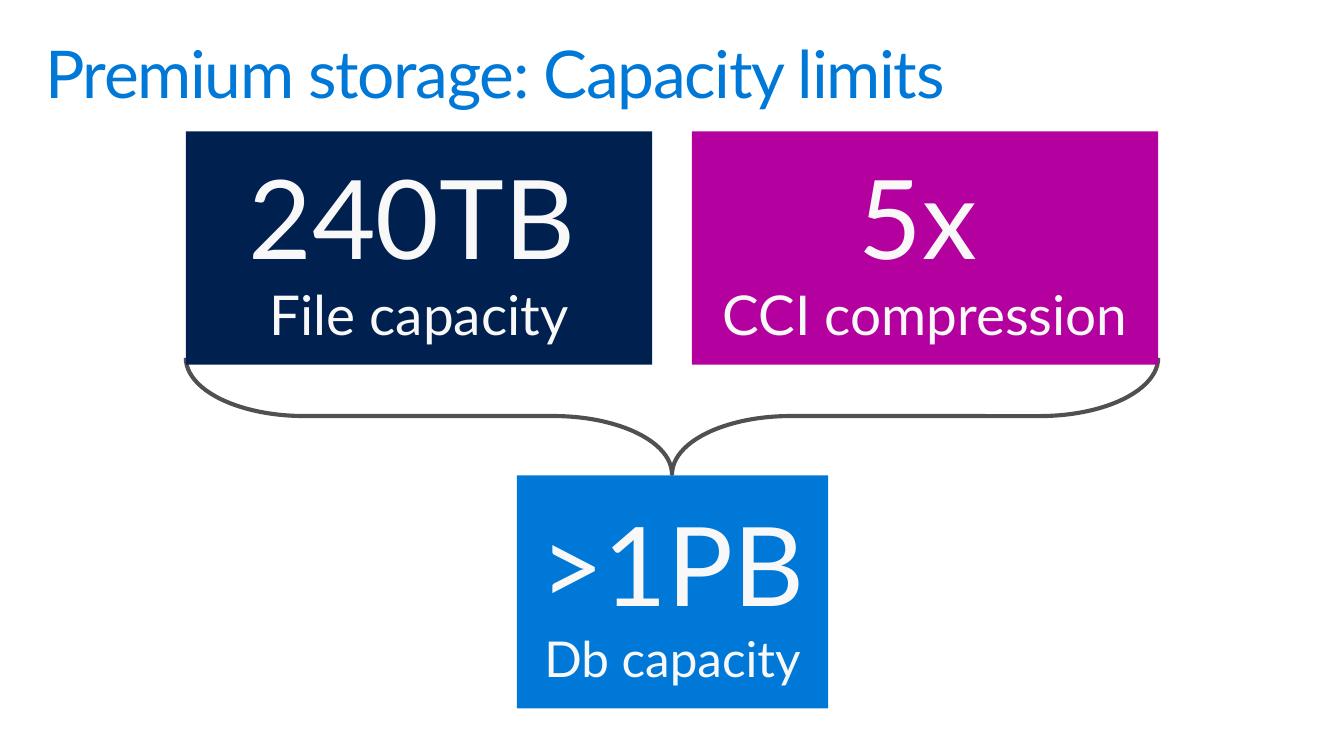
from pptx import Presentation
from pptx.dml.color import RGBColor
from pptx.enum.shapes import MSO_SHAPE as SHAPE
from pptx.enum.text import MSO_ANCHOR as ANCHOR, PP_ALIGN as ALIGN
from pptx.util import Pt

PX = 9144
THEME = {
    "font": "Lato",
    "blue": RGBColor(0x00, 0x78, 0xD7),
    "navy": RGBColor(0x00, 0x20, 0x50),
    "magenta": RGBColor(0xB4, 0x00, 0x9E),
    "light": RGBColor(0xF8, 0xF8, 0xF8),
    "gray": RGBColor(0x50, 0x50, 0x50),
    "title": 48,
    "figure": 80,
    "label": 40,
    "small_label": 36,
}


def px(*lengths):
    return [n * PX for n in lengths]


def style(r, size, color):
    r.font.name = THEME["font"]
    r.font.size = Pt(THEME[size])
    r.font.color.rgb = THEME[color]


prs = Presentation()
prs.slide_width, prs.slide_height = px(1360, 765)
s = prs.slides.add_slide(prs.slide_layouts[6])

title = s.shapes.add_textbox(*px(30, 32, 1300, 100))
tf = title.text_frame
tf.word_wrap = True
tf.margin_left, tf.margin_top, tf.margin_right, tf.margin_bottom = px(16, 10, 16, 10)
p = tf.paragraphs[0]
p.text = "Premium storage: Capacity limits"
p.line_spacing = 0.9
style(p.runs[0], "title", "blue")
p.runs[0].font._element.set("spc", "-100")

brace = s.shapes.add_shape(SHAPE.RIGHT_BRACE, *px(621, -71, 118, 984))
brace.rotation = 90
brace.adjustments[0] = 1.016
brace.adjustments[1] = 0.5
brace.shadow.inherit = False
brace.fill.background()
brace.line.color.rgb = THEME["gray"]
brace.line.width = Pt(3)

cards = [
    (188, 133, 472, "navy", ["240TB", " "], "File capacity", "label"),
    (700, 133, 472, "magenta", ["5x", " "], "CCI compression", "label"),
    (523, 481, 315, "blue", [">1PB"], "Db capacity", "small_label"),
]
for left, top, width, fill, figure, label, label_size in cards:
    card = s.shapes.add_shape(SHAPE.RECTANGLE, *px(left, top, width, 236))
    card.shadow.inherit = False
    card.fill.solid()
    card.fill.fore_color.rgb = THEME[fill]
    card.line.fill.background()
    tf = card.text_frame
    tf.word_wrap = True
    tf.vertical_anchor = ANCHOR.MIDDLE
    tf.margin_left, tf.margin_top, tf.margin_right, tf.margin_bottom = px(0, 5, 0, 5)
    lines = [
        (tf.paragraphs[0], figure, ["figure", label_size]),
        (tf.add_paragraph(), [label], [label_size]),
    ]
    for p, texts, sizes in lines:
        p.alignment = ALIGN.CENTER
        for text, size in zip(texts, sizes):
            r = p.add_run()
            r.text = text
            style(r, size, "light")

prs.save("out.pptx")
